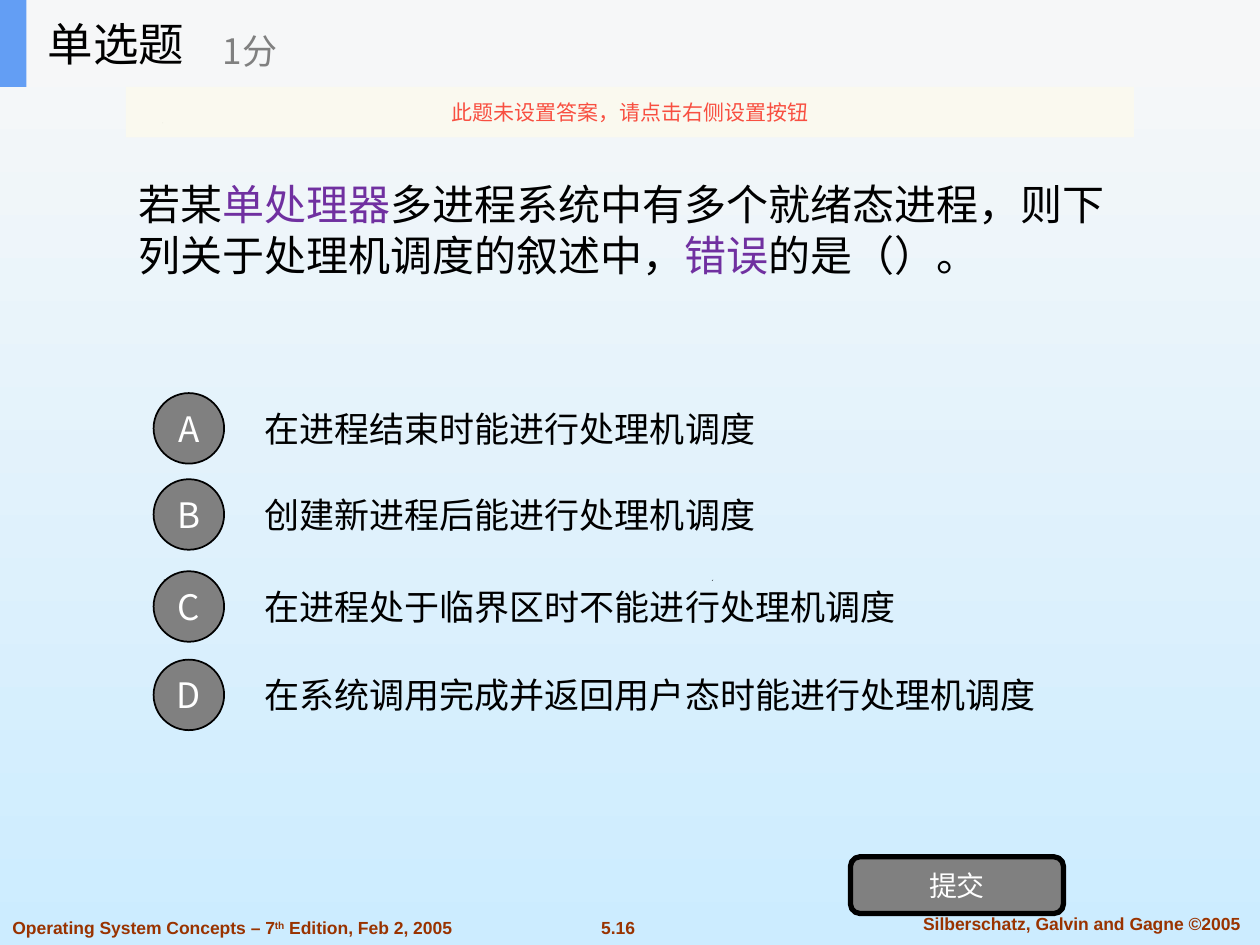
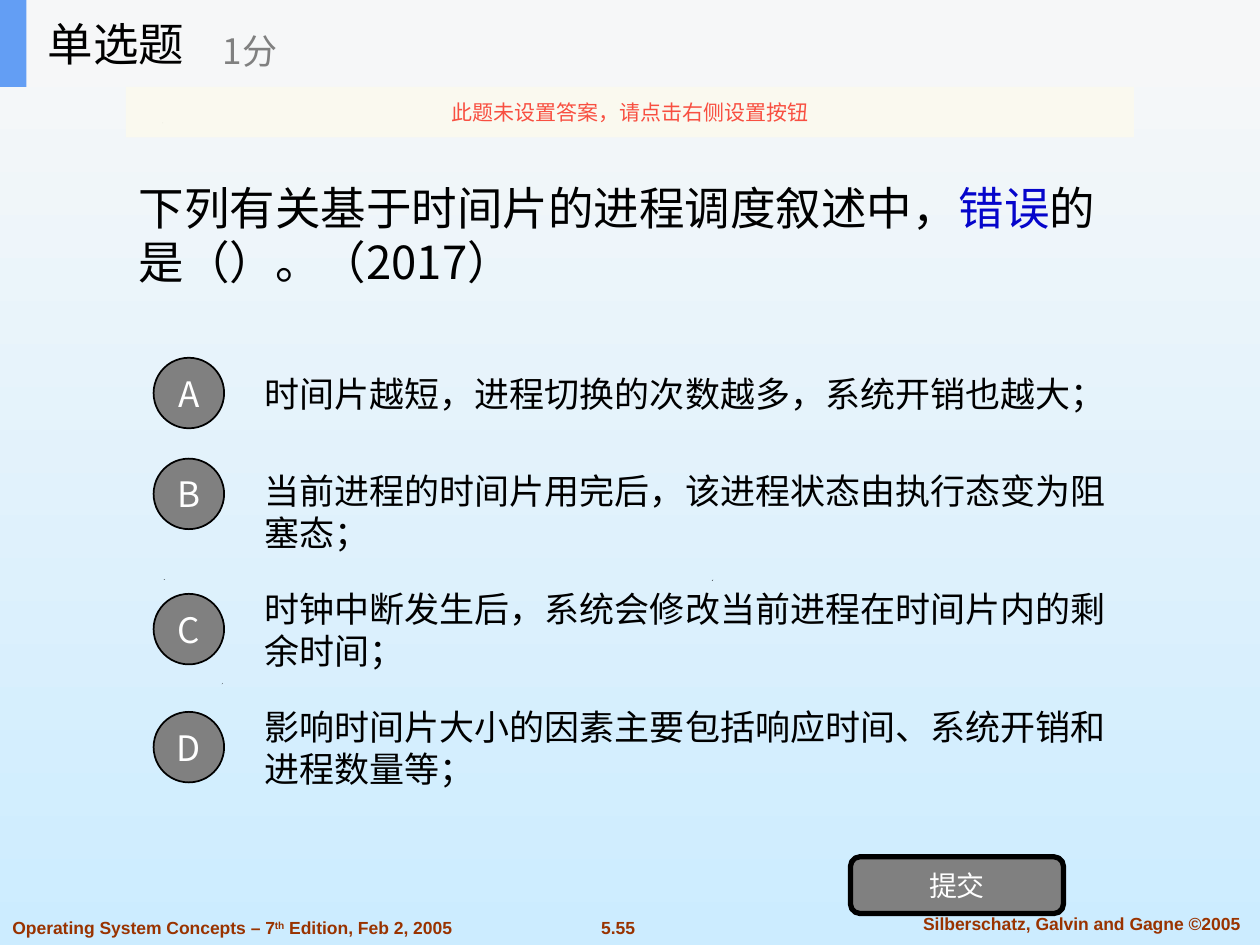
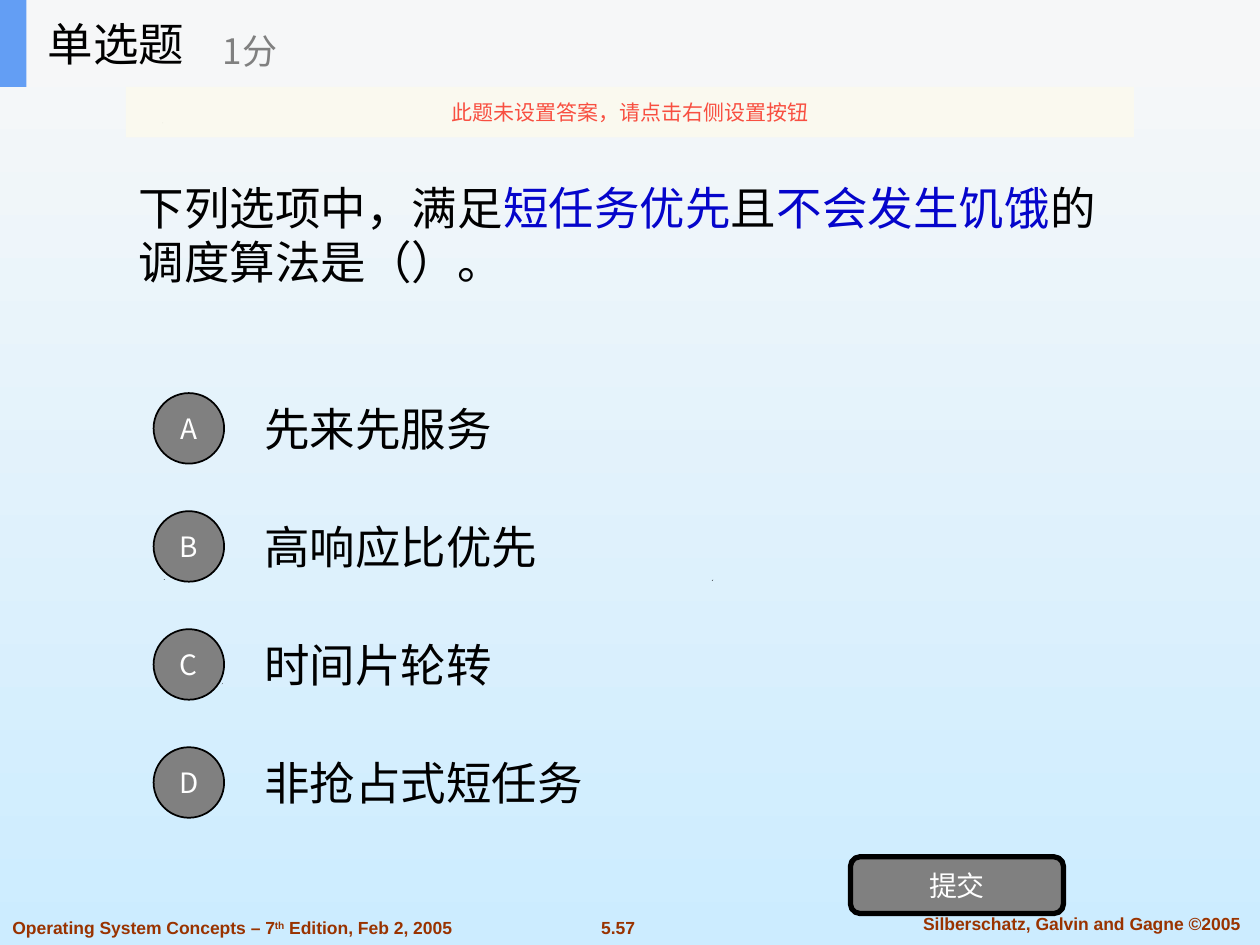
"""Build three single-choice quiz slides on processor scheduling."""
from lxml import etree
from pptx import Presentation
from pptx.dml.color import RGBColor
from pptx.enum.shapes import MSO_SHAPE
from pptx.enum.text import MSO_ANCHOR, MSO_AUTO_SIZE, PP_ALIGN
from pptx.oxml.ns import qn
from pptx.util import Pt

RECTANGLE, ELLIPSE, ROUNDED = MSO_SHAPE.RECTANGLE, MSO_SHAPE.OVAL, MSO_SHAPE.ROUNDED_RECTANGLE
LEFT, CENTER = PP_ALIGN.LEFT, PP_ALIGN.CENTER
MIDDLE, TOP, NO_AUTOFIT = MSO_ANCHOR.MIDDLE, MSO_ANCHOR.TOP, MSO_AUTO_SIZE.NONE

CJK_FONT, FOOTER_FONT = "Noto Sans CJK SC", "Arial"
BLACK, WHITE, GRAY = "000000", "FFFFFF", "808080"
PURPLE, BLUE, BROWN = "7030A0", "0505CB", "993300"
HEADER_FILL, TAB_FILL = "F6F7F8", "639EF4"
NOTICE_FILL, NOTICE_TEXT = "FBFAEF", "F84F41"
GRADIENT = ("F8F8F8", "CCECFF")

HEADING, SCORE, SUBMIT = "单选题", "1分", "提交"
NOTICE = "此题未设置答案，请点击右侧设置按钮"
BOOK = ("Operating System Concepts – 7", "th", " Edition, Feb 2, 2005")
AUTHORS = "Silberschatz, Galvin and Gagne ©2005"

OPTION_PITCH, OPTION_HEIGHT, MARKER_SIZE = 67.45, 50.4, 40.3
HEADER_HEIGHT = 49.7
SPECKS = [
    [(126.7, 391), (127.4, 390.2), (126.9, 391)],
    [(93.6, 331.2), (94.3, 331), (93.8, 331.4)],
    [(406.8, 331.9), (407.2, 331.8), (407.5, 331.2)],
    [(92.9, 70.6), (93, 69.8), (93.3, 70.4)],
]

# Bars in a question enclose its accented words.
QUIZZES = [
    {
        "page": "5.16",
        "question": "若某|单处理器|多进程系统中有多个就绪态进程，则下列关于处理机调度的叙述中，|错误|的是（）。",
        "question_box": (72, 67.7, 576, 126.7), "question_size": 24, "accent": PURPLE,
        "options": ["在进程结束时能进行处理机调度", "创建新进程后能进行处理机调度",
                    "在进程处于临界区时不能进行处理机调度", "在系统调用完成并返回用户态时能进行处理机调度"],
        "option_tops": [219.6, 268.8, 321.4, 371.9],
        "option_size": 20, "marker_size": 20, "marker_shifts": {},
    },
    {
        "page": "5.55",
        "question": "下列有关基于时间片的进程调度叙述中，|错误|的是（）。（2017）",
        "question_box": (72, 49.7, 576, 168.5), "question_size": 26, "accent": BLUE,
        "options": ["时间片越短，进程切换的次数越多，系统开销也越大；",
                    "当前进程的时间片用完后，该进程状态由执行态变为阻塞态；",
                    "时钟中断发生后，系统会修改当前进程在时间片内的剩余时间；",
                    "影响时间片大小的因素主要包括响应时间、系统开销和进程数量等；"],
        "option_tops": [199.4 + OPTION_PITCH * row for row in range(4)],
        "option_size": 20, "marker_size": 20, "marker_shifts": {"B": -9.8},
    },
    {
        "page": "5.57",
        "question": "下列选项中，满足|短任务优先|且|不会发生饥饿|的调度算法是（）。",
        "question_box": (72, 49.7, 576, 168.5), "question_size": 26, "accent": BLUE,
        "options": ["先来先服务", "高响应比优先", "时间片轮转", "非抢占式短任务"],
        "option_tops": [219.6 + OPTION_PITCH * row for row in range(4)],
        "option_size": 26, "marker_size": 16, "marker_shifts": {},
    },
]


def color(hex_value):
    """Return a colour from its hex string."""
    return RGBColor.from_string(hex_value)


def place(shape, box):
    """Move and size a shape, in points."""
    shape.left, shape.top, shape.width, shape.height = map(Pt, box)


def write(shape, segments, size, text_color=BLACK, align=LEFT, font=CJK_FONT,
          bold=False, anchor=MIDDLE, wrap=True):
    """Fill a shape with one formatted paragraph and return its runs."""
    frame = shape.text_frame
    frame.auto_size, frame.word_wrap, frame.vertical_anchor = NO_AUTOFIT, wrap, anchor
    paragraph = frame.paragraphs[0]
    paragraph.alignment, paragraph.space_before = align, Pt(0)
    properties = paragraph._p.get_or_add_pPr()
    if shape.is_placeholder:
        properties.set("marL", "0")
        properties.set("indent", "0")
        etree.SubElement(properties, qn("a:buNone"))
    paragraph.font.size, paragraph.font.bold = Pt(size), bold
    paragraph.font.color.rgb = color(text_color)
    paragraph.font.name = font
    etree.SubElement(properties.find(qn("a:defRPr")), qn("a:ea"), typeface=font)
    runs = []
    for segment in segments:
        run = paragraph.add_run()
        run.text = segment
        runs.append(run)
    return runs


def add_text(slide, box, segments, size, **style):
    """Add a text box and return its runs."""
    return write(slide.shapes.add_textbox(*map(Pt, box)), segments, size, **style)


def add_block(slide, kind, box, fill, line_width=0):
    """Add a filled preset shape, outlined in black when a width is given."""
    shape = slide.shapes.add_shape(kind, *map(Pt, box))
    shape.shadow.inherit = False
    shape.fill.solid()
    shape.fill.fore_color.rgb = color(fill)
    if line_width:
        shape.line.color.rgb = color(BLACK)
        shape.line.width = Pt(line_width)
    else:
        shape.line.fill.background()
    return shape


def set_background(master):
    """Give the master a vertical gradient."""
    fill = master.background.fill
    fill.gradient()
    fill.gradient_angle = 270
    for position, (stop, hex_value) in enumerate(zip(fill.gradient_stops, GRADIENT)):
        stop.color.rgb = color(hex_value)
        stop.position = position


def add_specks(slide):
    """Draw the tiny dots of the template."""
    for points in SPECKS:
        (start_x, start_y), *others = [(Pt(x), Pt(y)) for x, y in points]
        builder = slide.shapes.build_freeform(start_x, start_y)
        builder.add_line_segments(others)
        speck = builder.convert_to_shape()
        speck.shadow.inherit = False
        speck.fill.solid()
        speck.fill.fore_color.rgb = color(BLACK)
        speck.line.fill.background()


def add_footers(slide, page):
    """Write the book, page and author footers."""
    style = {"text_color": BROWN, "font": FOOTER_FONT, "bold": True, "anchor": TOP}
    add_text(slide, (334, 520.6, 38.3, 19.4), [page], 10, align=CENTER, wrap=False, **style)
    add_text(slide, (511.2, 518.4, 213.8, 19.4), [AUTHORS], 10, align=CENTER, **style)
    book_runs = add_text(slide, (0, 520.6, 296, 19.4), BOOK, 10, **style)
    book_runs[1].font._element.set("baseline", "30000")


def add_header(slide):
    """Draw the header band, heading, score and notice."""
    add_block(slide, RECTANGLE, (0, 0, 720, HEADER_HEIGHT), HEADER_FILL)
    add_block(slide, RECTANGLE, (0, 0, 15.1, HEADER_HEIGHT), TAB_FILL)
    title = slide.shapes.title
    place(title, (20.2, 0, 149.8, HEADER_HEIGHT))
    write(title, [HEADING], 26)
    slide.shapes._spTree.append(title._element)
    add_text(slide, (120.2, 8.6, 180, 40.3), [SCORE], 20, text_color=GRAY)
    notice = add_block(slide, RECTANGLE, (72, HEADER_HEIGHT, 576, 28.8), NOTICE_FILL)
    fill_color = notice._element.spPr.find(qn("a:solidFill"))[0]
    etree.SubElement(fill_color, qn("a:alpha"), val="90000")
    write(notice, [NOTICE], 12, text_color=NOTICE_TEXT, align=CENTER)


def add_question(slide, quiz):
    """Write the question with its accented words."""
    body = slide.placeholders[1]
    place(body, quiz["question_box"])
    runs = write(body, quiz["question"].split("|"), quiz["question_size"])
    for run in runs[1::2]:
        run.font.color.rgb = color(quiz["accent"])


def add_options(slide, quiz):
    """Write the answers with their lettered markers."""
    for letter, option, top in zip("ABCD", quiz["options"], quiz["option_tops"]):
        add_text(slide, (144, top, 504, OPTION_HEIGHT), [option], quiz["option_size"])
        marker_top = top + (OPTION_HEIGHT - MARKER_SIZE) / 2 + quiz["marker_shifts"].get(letter, 0)
        marker = add_block(slide, ELLIPSE, (87.8, marker_top, MARKER_SIZE, MARKER_SIZE), GRAY, 1)
        write(marker, [letter], quiz["marker_size"], text_color=WHITE, align=CENTER, wrap=False)


def main():
    """Build and save the presentation."""
    presentation = Presentation()
    presentation.slide_width, presentation.slide_height = Pt(720), Pt(540)
    set_background(presentation.slide_master)
    for quiz in QUIZZES:
        slide = presentation.slides.add_slide(presentation.slide_layouts[1])
        add_footers(slide, quiz["page"])
        add_specks(slide)
        add_question(slide, quiz)
        add_options(slide, quiz)
        submit = add_block(slide, ROUNDED, (486, 489.6, 121.7, 32.4), GRAY, 3)
        write(submit, [SUBMIT], 16, text_color=WHITE, align=CENTER)
        add_header(slide)
    presentation.save("out.pptx")


if __name__ == "__main__":
    main()
